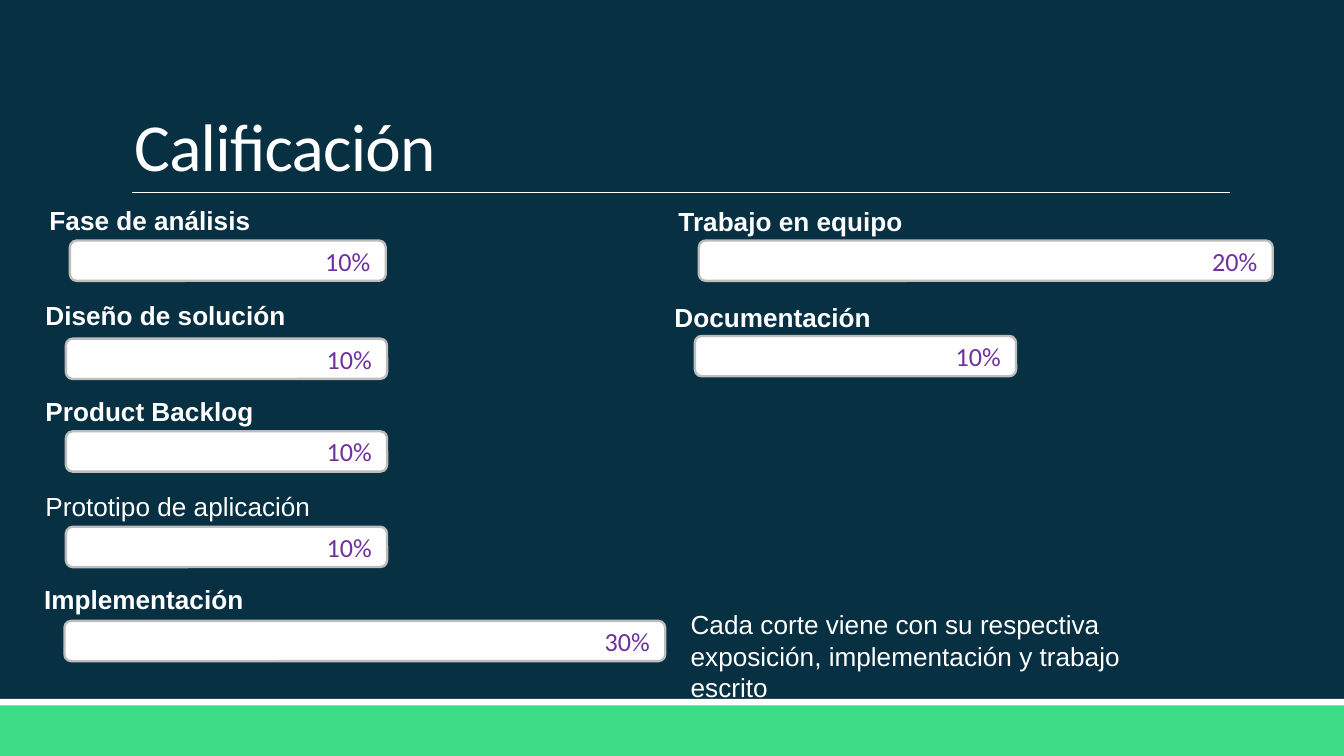
from dataclasses import dataclass

from lxml.etree import SubElement
from pptx import Presentation
from pptx.dml.color import RGBColor
from pptx.enum.shapes import MSO_CONNECTOR, MSO_SHAPE
from pptx.enum.text import MSO_ANCHOR as Anchor, PP_ALIGN as Align
from pptx.oxml.ns import qn
from pptx.shapes.autoshape import Shape
from pptx.slide import Slide
from pptx.text.text import TextFrame, _Run as Run
from pptx.util import Inches, Pt

COLORS = {
    "background": "073042",
    "footer": "3DDB85",
    "white": "FFFFFF",
    "bar_border": "BDBDBD",
    "percent": "7030A0",
}
SLIDE_WIDTH = 10
SLIDE_HEIGHT = SLIDE_WIDTH * 9 / 16
FOOTER_TOP = 5.25
STRIPE_HEIGHT = 0.05
BAR_HEIGHT = 0.3
LABEL_HEIGHT = 0.34
LABEL_WIDTH = 2.53
LABEL_OUTDENT = 0.25


@dataclass(frozen=True)
class Criterion:
    label: str
    percent: int
    left: float
    label_top: float
    bar_top: float
    bar_width: float
    bold: bool = True


CRITERIA = [
    Criterion("Fase de análisis", 10, 0.52, 1.47, 1.79, 2.35),
    Criterion("Diseño de solución", 10, 0.49, 2.18, 2.52, 2.39),
    Criterion("Product Backlog", 10, 0.49, 2.89, 3.21, 2.39),
    Criterion("Prototipo de aplicación", 10, 0.49, 3.6, 3.92, 2.39, bold=False),
    Criterion("Implementación", 30, 0.48, 4.29, 4.62, 4.47),
    Criterion("Trabajo en equipo", 20, 5.2, 1.48, 1.79, 4.27),
    Criterion("Documentación", 10, 5.17, 2.19, 2.5, 2.39),
]


def rgb(name: str) -> RGBColor:
    return RGBColor.from_string(COLORS[name])


def add_run(frame: TextFrame, text: str, size: float = 14, font: str = "Arial",
            color: str = "white", bold: bool = False) -> Run:
    run = frame.paragraphs[0].add_run()
    run.text = text
    run.font.size = Pt(size)
    run.font.name = font
    run.font.bold = bold
    run.font.color.rgb = rgb(color)
    return run


def add_text_frame(slide: Slide, left: float, top: float,
                   width: float, height: float) -> TextFrame:
    box = slide.shapes.add_textbox(Inches(left), Inches(top), Inches(width), Inches(height))
    box.text_frame.word_wrap = True
    return box.text_frame


def add_block(slide: Slide, kind: MSO_SHAPE, left: float, top: float,
              width: float, height: float, fill: str) -> Shape:
    """Add a flat filled shape without outline or shadow."""
    block = slide.shapes.add_shape(
        kind, Inches(left), Inches(top), Inches(width), Inches(height))
    block.shadow.inherit = False
    block.fill.solid()
    block.fill.fore_color.rgb = rgb(fill)
    block.line.fill.background()
    return block


def add_footer(slide: Slide) -> None:
    add_block(slide, MSO_SHAPE.RECTANGLE, 0, FOOTER_TOP,
              SLIDE_WIDTH, SLIDE_HEIGHT - FOOTER_TOP, "footer")
    add_block(slide, MSO_SHAPE.RECTANGLE, 0, FOOTER_TOP - STRIPE_HEIGHT,
              SLIDE_WIDTH, STRIPE_HEIGHT, "white")


def add_title(slide: Slide, text: str) -> None:
    frame = add_text_frame(slide, 0.9, 0.24, 8.25, 1.19)
    frame.vertical_anchor = Anchor.BOTTOM
    frame.paragraphs[0].line_spacing = 0.85
    run = add_run(frame, text, size=36, font="Calibri")
    run.font._element.set("spc", "-40")

    rule = slide.shapes.add_connector(
        MSO_CONNECTOR.STRAIGHT, Inches(0.98), Inches(1.43), Inches(9.15), Inches(1.43))
    rule.line.color.rgb = rgb("white")
    rule.line.width = Pt(0.5)
    SubElement(rule._element.spPr, qn("a:effectLst"))


def add_criterion(slide: Slide, criterion: Criterion) -> None:
    bar = add_block(slide, MSO_SHAPE.ROUNDED_RECTANGLE, criterion.left, criterion.bar_top,
                    criterion.bar_width, BAR_HEIGHT, "white")
    bar.line.color.rgb = rgb("bar_border")
    bar.line.width = Pt(1.25)
    bar.text_frame.vertical_anchor = Anchor.MIDDLE
    bar.text_frame.paragraphs[0].alignment = Align.RIGHT
    add_run(bar.text_frame, f"{criterion.percent}%", font="Calibri", color="percent")

    label = add_text_frame(slide, criterion.left - LABEL_OUTDENT, criterion.label_top,
                           LABEL_WIDTH, LABEL_HEIGHT)
    add_run(label, criterion.label, bold=criterion.bold)


def main() -> None:
    deck = Presentation()
    deck.slide_width = Inches(SLIDE_WIDTH)
    deck.slide_height = Inches(SLIDE_HEIGHT)
    slide = deck.slides.add_slide(deck.slide_layouts[6])
    slide.background.fill.solid()
    slide.background.fill.fore_color.rgb = rgb("background")

    add_footer(slide)
    add_title(slide, "Calificación")
    for criterion in CRITERIA:
        add_criterion(slide, criterion)

    note = add_text_frame(slide, 5.04, 4.48, 4.02, 0.57)
    add_run(note, "Cada corte viene con su respectiva exposición, "
                  "implementación y trabajo escrito")
    deck.save("out.pptx")


if __name__ == "__main__":
    main()
